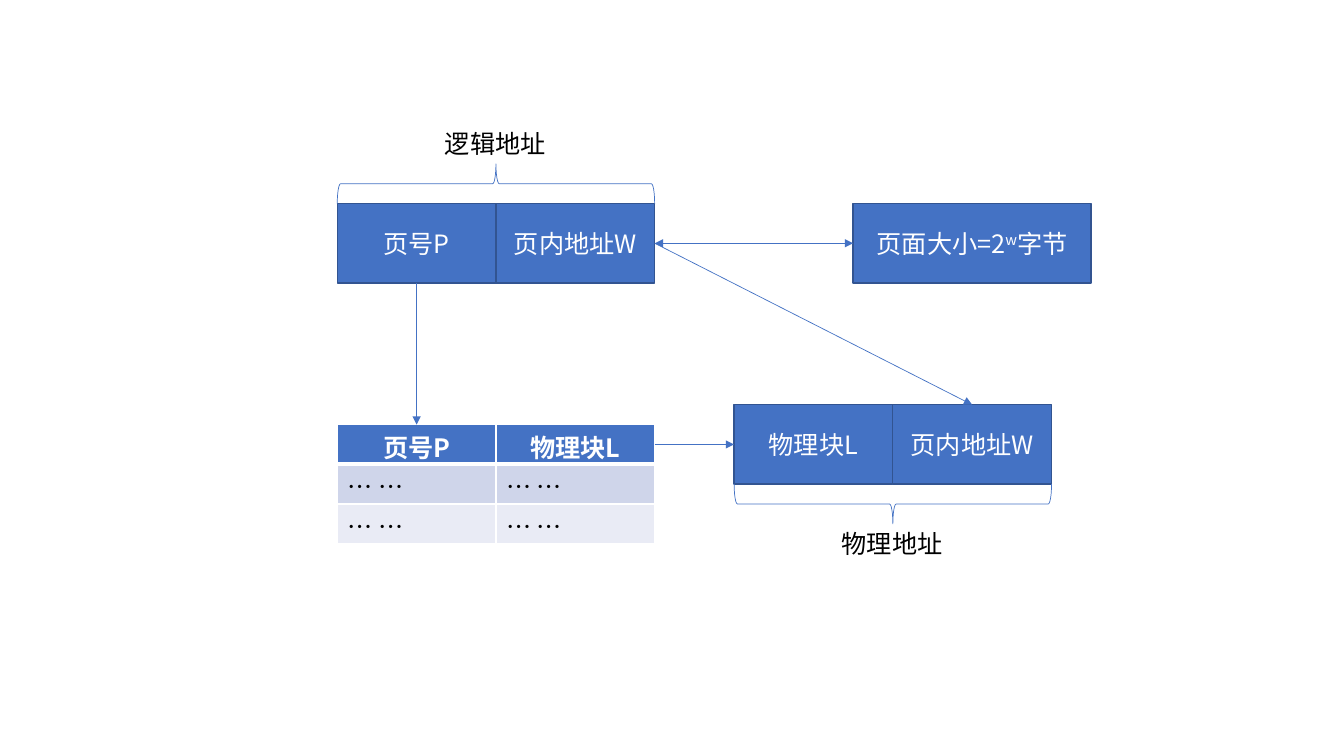
from pptx import Presentation
from pptx.dml.color import RGBColor
from pptx.enum.shapes import MSO_CONNECTOR, MSO_SHAPE
from pptx.enum.text import MSO_ANCHOR, MSO_AUTO_SIZE, PP_ALIGN
from pptx.oxml.ns import qn
from pptx.util import Cm, Pt
from lxml.etree import SubElement

# Content
FONT = "Noto Sans CJK SC"
BLUE, EDGE, WHITE, BLACK = "4472C4", "325491", "FFFFFF", "000000"
BOX_W, BOX_H, BRACE_D, ROW_H = 4, 2, 1, 1
LOGICAL_X, LOGICAL_Y = 8.5, 5.13
PHYSICAL_X, PHYSICAL_Y = 18.5, 10.2
TABLE_Y = 10.7
TABLE_RIGHT = LOGICAL_X + 2 * BOX_W
ARROW_Y = PHYSICAL_Y + BOX_H / 2

# key: (left, top, width, runs as (text, is superscript))
boxes = {
    "page": (LOGICAL_X, LOGICAL_Y, BOX_W, [("页号P", False)]),
    "offset": (LOGICAL_X + BOX_W, LOGICAL_Y, BOX_W, [("页内地址W", False)]),
    "size": (21.5, LOGICAL_Y, 6,
             [("页面大小=2", False), ("w", True), ("字节", False)]),
    "block": (PHYSICAL_X, PHYSICAL_Y, BOX_W, [("物理块L", False)]),
    "physical_offset": (PHYSICAL_X + BOX_W, PHYSICAL_Y, BOX_W,
                        [("页内地址W", False)]),
}
# (label, label top, brace centre x, brace centre y, rotation)
addresses = [
    ("逻辑地址", 3.12, LOGICAL_X + BOX_W, LOGICAL_Y - BRACE_D / 2, 270),
    ("物理地址", 13.2, PHYSICAL_X + BOX_W,
     PHYSICAL_Y + BOX_H + BRACE_D / 2, 90),
]
page_table = [["页号P", "物理块L"], ["… …", "… …"], ["… …", "… …"]]
row_fills = [BLUE, "CFD5EA", "E9EBF5"]
# Ends are (box, side) or a point; the last item tells if both ends have heads
TOP, LEFT, BOTTOM, RIGHT = range(4)
arrows = [
    (("page", BOTTOM), (LOGICAL_X + BOX_W / 2, TABLE_Y), False),
    (("size", LEFT), ("offset", RIGHT), True),
    ((TABLE_RIGHT, ARROW_Y), ("block", LEFT), False),
    (("offset", RIGHT), ("physical_offset", TOP), False),
]


def color(hex_code):
    return RGBColor.from_string(hex_code)


def write(frame, runs, ink, align=PP_ALIGN.LEFT, bold=False):
    paragraph = frame.paragraphs[0]
    paragraph.alignment = align
    for text, raised in runs:
        run = paragraph.add_run()
        run.text = text
        run.font.size, run.font.bold = Pt(18), bold
        run.font.name = FONT
        run.font.color.rgb = color(ink)
        properties = run.font._element
        SubElement(properties, qn("a:ea"), typeface=FONT)
        properties.set("lang", "zh-CN")
        if raised:
            properties.set("baseline", "30000")


def add_preset(preset, left, top, width, height, edge, weight):
    shape = slide.shapes.add_shape(
        preset, Cm(left), Cm(top), Cm(width), Cm(height))
    shape.shadow.inherit = False
    shape.line.color.rgb = color(edge)
    shape.line.width = Pt(weight)
    return shape


def add_border(cell, side, weight):
    line = SubElement(cell._tc.get_or_add_tcPr(), qn("a:" + side),
                      w=str(Pt(weight)))
    SubElement(SubElement(line, qn("a:solidFill")), qn("a:srgbClr"), val=WHITE)


prs = Presentation()
prs.slide_width, prs.slide_height = Cm(33.87), Cm(19.05)
slide = prs.slides.add_slide(prs.slide_layouts[6])

# Address fields and page size
drawn = {}
for key, (left, top, width, runs) in boxes.items():
    box = add_preset(MSO_SHAPE.RECTANGLE, left, top, width, BOX_H, EDGE, 1)
    box.fill.solid()
    box.fill.fore_color.rgb = color(BLUE)
    box.text_frame.word_wrap = True
    box.text_frame.vertical_anchor = MSO_ANCHOR.MIDDLE
    write(box.text_frame, runs, WHITE, PP_ALIGN.CENTER)
    drawn[key] = box

# Braces with their labels
LABEL_W, LABEL_H = 3.07, 1.02
for name, label_top, center_x, center_y, rotation in addresses:
    span = 2 * BOX_W
    brace = add_preset(MSO_SHAPE.RIGHT_BRACE, center_x - BRACE_D / 2,
                       center_y - span / 2, BRACE_D, span, BLUE, 0.5)
    brace.fill.background()
    brace.rotation = rotation
    label = slide.shapes.add_textbox(
        Cm(center_x - LABEL_W / 2), Cm(label_top), Cm(LABEL_W), Cm(LABEL_H))
    label.text_frame.word_wrap = False
    label.text_frame.auto_size = MSO_AUTO_SIZE.SHAPE_TO_FIT_TEXT
    write(label.text_frame, [(name, False)], BLACK)

# Page table
grid = slide.shapes.add_table(
    len(page_table), 2, Cm(LOGICAL_X), Cm(TABLE_Y),
    Cm(2 * BOX_W), Cm(ROW_H * len(page_table))).table
for r, (texts, fill) in enumerate(zip(page_table, row_fills)):
    header = r == 0
    for c, text in enumerate(texts):
        cell = grid.cell(r, c)
        cell.margin_top, cell.margin_bottom = Cm(0.08), Cm(0)
        for side in ("lnL", "lnR", "lnT", "lnB"):
            heavy = (r, side) in ((0, "lnB"), (1, "lnT"))
            add_border(cell, side, 3 if heavy else 1)
        cell.fill.solid()
        cell.fill.fore_color.rgb = color(fill)
        write(cell.text_frame, [(text, False)], WHITE if header else BLACK,
              PP_ALIGN.CENTER if header else PP_ALIGN.LEFT, header)

# Arrows
for start, end, both in arrows:
    arrow = slide.shapes.add_connector(MSO_CONNECTOR.STRAIGHT, 0, 0, 0, 0)
    if start[0] in drawn:
        arrow.begin_connect(drawn[start[0]], start[1])
    else:
        arrow.begin_x, arrow.begin_y = Cm(start[0]), Cm(start[1])
    if end[0] in drawn:
        arrow.end_connect(drawn[end[0]], end[1])
    else:
        arrow.end_x, arrow.end_y = Cm(end[0]), Cm(end[1])
    arrow.line.color.rgb = color(BLUE)
    arrow.line.width = Pt(0.5)
    line = arrow.line._get_or_add_ln()
    for tag in ("a:headEnd", "a:tailEnd") if both else ("a:tailEnd",):
        SubElement(line, qn(tag), type="triangle")
    SubElement(arrow._element.spPr, qn("a:effectLst"))

prs.save("out.pptx")
